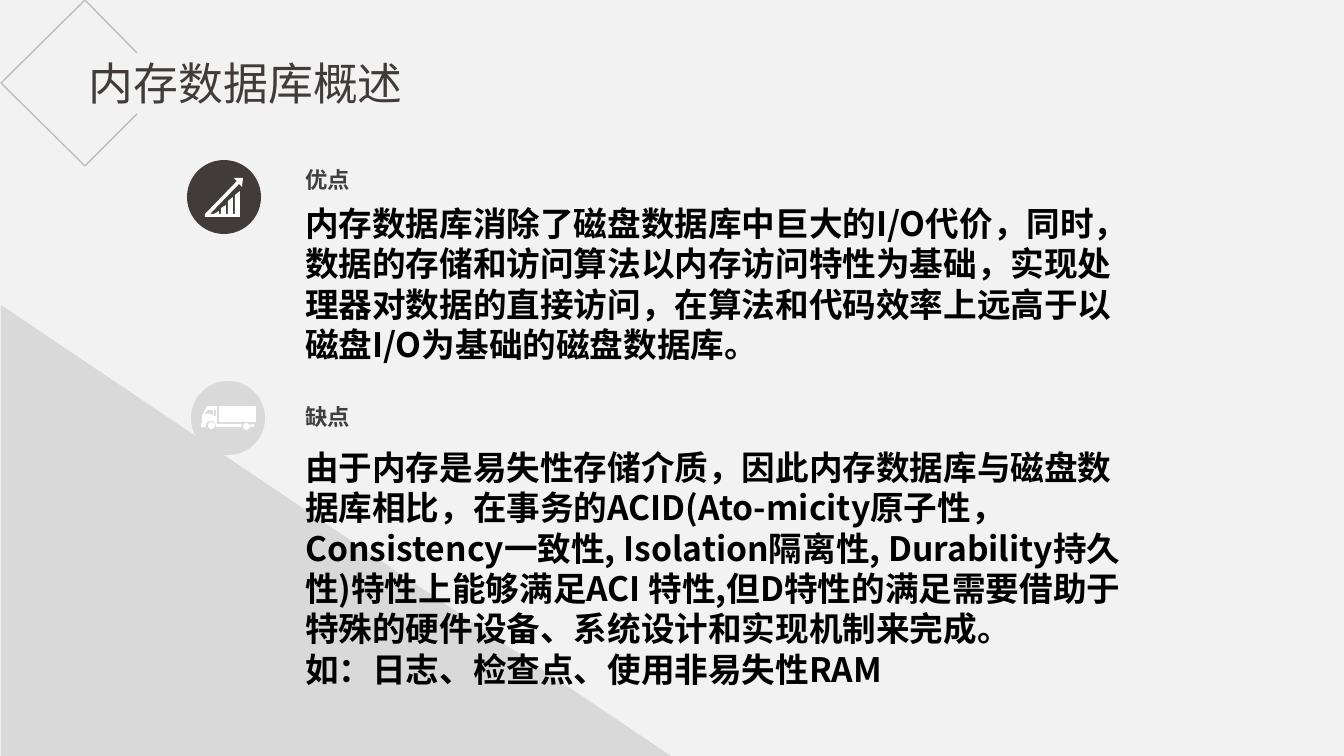
from dataclasses import dataclass

from lxml.etree import SubElement
from pptx import Presentation
from pptx.dml.color import RGBColor
from pptx.enum.shapes import MSO_SHAPE as Preset
from pptx.enum.text import MSO_ANCHOR as Anchor, MSO_AUTO_SIZE as AutoSize, PP_ALIGN as Align
from pptx.oxml.ns import qn
from pptx.util import Inches, Pt

PIXEL = Inches(1) / 100.8


def emu(pixels):
    return round(pixels * PIXEL)


@dataclass(frozen=True)
class Theme:
    font: str = "Noto Sans CJK SC"
    background: str = "F2F2F2"
    dark: str = "413B39"
    pale: str = "D9D9D9"
    icon: str = "FFFFFF"
    outline: str = "808080"
    heading: str = "404040"
    body: str = "000000"
    title_size: int = 32
    heading_size: int = 16
    body_size: int = 24


def write_text(frame, paragraphs, font, size, color, bold=False, align=Align.LEFT):
    frame.text = "\n".join(paragraphs)
    frame.word_wrap = True
    frame.auto_size = AutoSize.NONE
    frame.vertical_anchor = Anchor.TOP
    for paragraph in frame.paragraphs:
        paragraph.alignment = align
        paragraph.space_before = Pt(0)
        properties = paragraph._p.get_or_add_pPr()
        properties.set("marL", "0")
        properties.set("indent", "0")
        SubElement(properties, qn("a:buNone"))
        for run in paragraph.runs:
            run.font.name = font
            run.font.size = Pt(size)
            run.font.bold = bold
            run.font.color.rgb = RGBColor.from_string(color)
            SubElement(run._r.get_or_add_rPr(), qn("a:ea"), typeface=font)


class SlideBuilder:
    def __init__(self, slide, theme):
        self.slide = slide
        self.theme = theme
        fill = slide.background.fill
        fill.solid()
        fill.fore_color.rgb = RGBColor.from_string(theme.background)

    def paint(self, shape, color):
        shape.shadow.inherit = False
        shape.fill.solid()
        shape.fill.fore_color.rgb = RGBColor.from_string(color)
        shape.line.fill.background()

    def preset(self, kind, box, color):
        shape = self.slide.shapes.add_shape(kind, *map(emu, box))
        self.paint(shape, color)
        return shape

    def outline(self, *contours, closed=True):
        builder = self.slide.shapes.build_freeform(*contours[0][0], scale=PIXEL)
        builder.add_line_segments(contours[0][1:], close=closed)
        for contour in contours[1:]:
            builder.move_to(*contour[0])
            builder.add_line_segments(contour[1:], close=closed)
        return builder.convert_to_shape()

    def icon(self, *contours):
        self.paint(self.outline(*contours), self.theme.icon)

    def open_line(self, points, color, opacity):
        shape = self.outline(points, closed=False)
        shape.shadow.inherit = False
        shape.fill.background()
        shape.line.width = Pt(1)
        shape.line.color.rgb = RGBColor.from_string(color)
        color_element = shape.line._ln.find(".//" + qn("a:srgbClr"))
        SubElement(color_element, qn("a:alpha"), val=str(opacity * 1000))

    def placeholder(self, index, box, paragraphs, **style):
        shape = self.slide.placeholders[index]
        shape.left, shape.top, shape.width, shape.height = map(emu, box)
        write_text(shape.text_frame, paragraphs, self.theme.font, **style)
        self.slide.shapes._spTree.append(shape._element)


GROWTH_CHART = [
    (234, 178), (237, 181), (205, 214), (205, 217), (240, 217), (240, 191),
    (235, 195), (235, 214), (233, 214), (233, 197), (228, 201), (228, 214),
    (226, 214), (226, 205), (221, 208), (221, 214), (219, 214), (219, 211),
    (214, 214), (210, 214), (239, 184), (242, 187), (243, 178),
]
TRUCK_CAB = [
    (217, 424), (217, 406), (207, 406), (202, 416), (202, 423), (201, 423),
    (201, 427), (206, 427), (206, 425), (207, 422), (210, 421), (213, 421),
    (215, 423), (216, 427), (242, 427), (241, 426), (242, 424),
]
CAB_WINDOW = [(213, 416), (211, 414), (204, 414), (208, 410), (213, 410)]
CAB_DOOR = [(216, 416), (214, 416), (214, 410), (216, 410)]
TRUCK_BUMPER = [(251, 424), (254, 424), (254, 427), (250, 427)]
TITLE_DIAMOND = [(137, 53), (85, 0), (1, 83), (85, 166), (137, 114)]

ADVANTAGE = [
    "内存数据库消除了磁盘数据库中巨大的I/O代价，同时，数据的存储和访问算法以内存访问特性为基础，"
    "实现处理器对数据的直接访问，在算法和代码效率上远高于以磁盘I/O为基础的磁盘数据库。"
]
DRAWBACK = [
    "由于内存是易失性存储介质，因此内存数据库与磁盘数据库相比，在事务的ACID(Ato-micity原子性，"
    "Consistency一致性, Isolation隔离性, Durability持久性)特性上能够满足ACI 特性,"
    "但D特性的满足需要借助于特殊的硬件设备、系统设计和实现机制来完成。",
    "如：日志、检查点、使用非易失性RAM",
]

theme = Theme()
presentation = Presentation()
presentation.slide_width = emu(1344)
presentation.slide_height = emu(756)
comparison_layout = presentation.slide_layouts[4]
page = SlideBuilder(presentation.slides.add_slide(comparison_layout), theme)

page.preset(Preset.RIGHT_TRIANGLE, (1, 305, 670, 451), theme.pale)

page.preset(Preset.OVAL, (187, 160, 74, 74), theme.dark)
page.icon(GROWTH_CHART)

page.preset(Preset.OVAL, (191, 381, 74, 74), theme.pale)
cargo = page.preset(Preset.ROUNDED_RECTANGLE, (219, 406, 37, 16), theme.icon)
cargo.adjustments[0] = 0.08
page.icon(TRUCK_CAB, CAB_WINDOW, CAB_DOOR)
page.icon(TRUCK_BUMPER)
for wheel_left, wheel_top in ((208, 422), (243, 423)):
    page.preset(Preset.OVAL, (wheel_left, wheel_top, 7, 7), theme.icon)

sections = (
    (1, "优点", 161, ADVANTAGE, (295, 198, 849, 173)),
    (3, "缺点", 398, DRAWBACK, (295, 442, 857, 254)),
)
for index, heading, heading_top, paragraphs, body_box in sections:
    page.placeholder(index, (295, heading_top, 242, 37), [heading],
                     size=theme.heading_size, color=theme.heading, bold=True)
    page.placeholder(index + 1, body_box, paragraphs,
                     size=theme.body_size, color=theme.body, bold=True)

page.placeholder(0, (37, 51, 418, 65), ["内存数据库概述"],
                 size=theme.title_size, color=theme.dark, align=Align.CENTER)
page.open_line(TITLE_DIAMOND, theme.outline, 45)

presentation.save("out.pptx")
